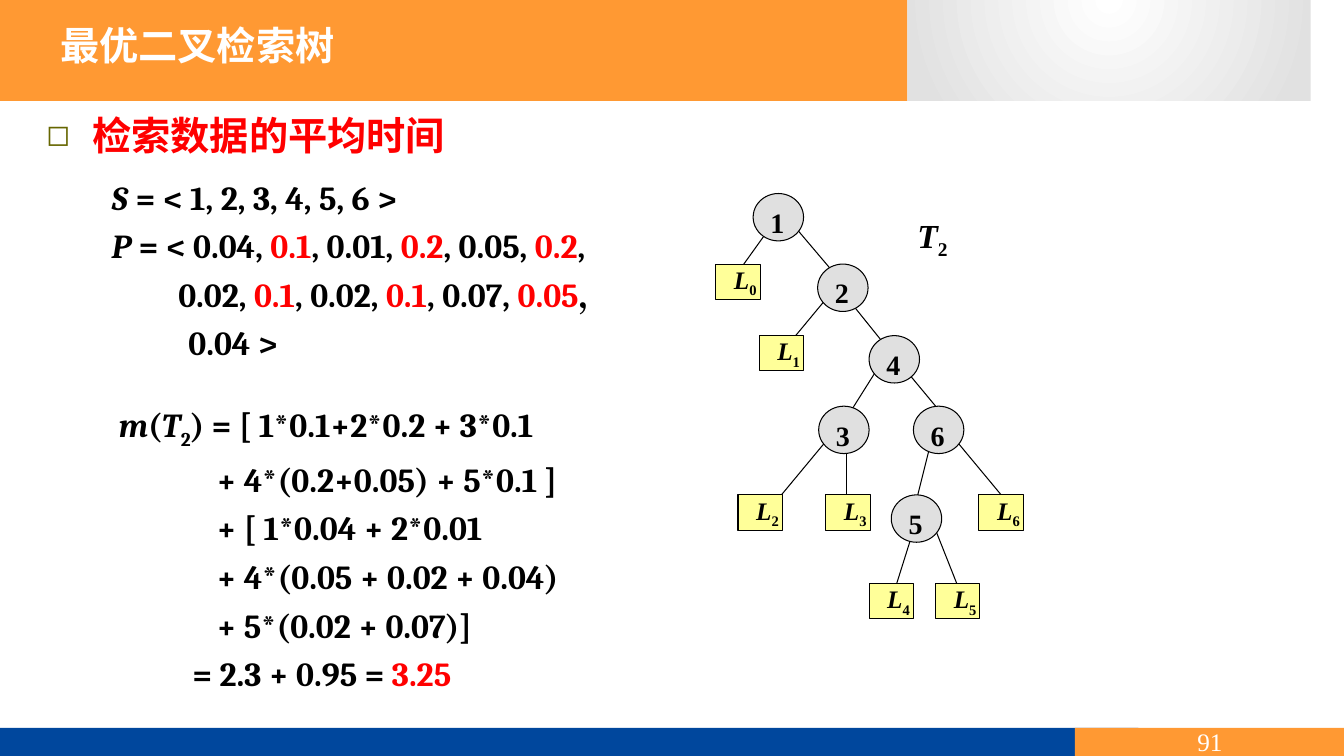
import pptx
import pptx.util
import pptx.oxml
import pptx.oxml.ns
import pptx.dml.color
import pptx.enum.shapes
import pptx.enum.text
from dataclasses import dataclass

Inches, Pt = pptx.util.Inches, pptx.util.Pt
Shape = pptx.enum.shapes.MSO_SHAPE
Align = pptx.enum.text.PP_ALIGN
Anchor = pptx.enum.text.MSO_ANCHOR


@dataclass(frozen=True)
class Theme:
    orange: str = "FF9933"
    blue: str = "00479D"
    white: str = "FFFFFF"
    silver: str = "E1E1E1"
    black: str = "000000"
    red: str = "FF0000"
    olive: str = "666600"
    node: str = "E0E0E0"
    leaf: str = "FFFF99"
    head: int = 28
    body: int = 24
    key: int = 20
    small: int = 18
    hair: float = 0.75
    han: str = "Noto Sans CJK SC"
    math: str = "Cambria"
    serif: str = "Times New Roman"
    sign: str = "DejaVu Sans"


def rgb(code):
    return pptx.dml.color.RGBColor.from_string(code)


def assign(target, values):
    for name, value in values.items():
        setattr(target, name, value)


def make(tag, **values):
    node = pptx.oxml.ns.qn(tag)
    item = pptx.oxml.parse_xml(f'<{tag} {pptx.oxml.ns.nsdecls("a")}/>')
    assert item.tag == node
    for name, value in values.items():
        item.set(name, str(value))
    return item


def curve(start, one, two, end, steps=24):
    """Points along a cubic Bezier curve, without its start."""
    points = []
    for step in range(1, steps + 1):
        t = step / steps
        parts = ((1 - t) ** 3, 3 * t * (1 - t) ** 2, 3 * t * t * (1 - t), t ** 3)
        points.append(tuple(sum(w * p[axis] for w, p in zip(parts, (start, one, two, end)))
                            for axis in (0, 1)))
    return points


class Board:
    """Holds the theme and the current slide."""

    def __init__(self, slide, theme):
        self.slide, self.theme = slide, theme

    def paint(self, shape, fill, edge=None):
        shape.shadow.inherit = False
        shape.fill.solid()
        shape.fill.fore_color.rgb = rgb(fill)
        if edge:
            shape.line.color.rgb = rgb(edge)
            shape.line.width = Pt(self.theme.hair)
        else:
            shape.line.fill.background()

    def block(self, kind, box, fill, edge=None):
        shape = self.slide.shapes.add_shape(kind, *map(Inches, box))
        self.paint(shape, fill, edge)
        return shape

    def outline(self, points, fill):
        form = self.slide.shapes.build_freeform(*points[0], scale=Inches(1))
        form.add_line_segments(points[1:], close=True)
        shape = form.convert_to_shape()
        self.paint(shape, fill)
        return shape

    def glow(self, shape, inner, outer):
        """Radial fill centred above the shape."""
        shape.fill.gradient()
        for stop, color in zip(shape.fill.gradient_stops, (inner, outer)):
            stop.color.rgb = rgb(color)
        grad = shape._element.spPr.find(pptx.oxml.ns.qn("a:gradFill"))
        ring = make("a:path", path="circle")
        ring.append(make("a:fillToRect", l=50000, t=-80000, r=50000, b=180000))
        grad.replace(grad.find(pptx.oxml.ns.qn("a:lin")), ring)

    def edge(self, start, end):
        line = self.slide.shapes.add_connector(
            pptx.enum.shapes.MSO_CONNECTOR.STRAIGHT, *map(Inches, start + end))
        line.line.color.rgb = rgb(self.theme.black)
        line.line.width = Pt(self.theme.hair)
        line._element.spPr.append(make("a:effectLst"))

    def words(self, para, runs, size, font, color=None, bold=True):
        """Runs are (text, marks): i italic, s subscript, r red."""
        for text, marks in runs:
            run = para.add_run()
            run.text = text
            assign(run.font, dict(size=Pt(size), name=font, bold=bold, italic="i" in marks))
            run.font.color.rgb = rgb(self.theme.red if "r" in marks
                                     else color or self.theme.black)
            props = run._r.get_or_add_rPr()
            props.append(make("a:ea", typeface=font))
            if "s" in marks:
                props.set("baseline", "-25000")

    def text(self, box, lines, size, font, color=None, frame=None, para=None, gap=0):
        """Lines are (indent, runs); returns the paragraphs."""
        area = self.slide.shapes.add_textbox(*map(Inches, box)).text_frame
        assign(area, {"word_wrap": True, **(frame or {})})
        for row, (indent, runs) in enumerate(lines):
            item = area.add_paragraph() if row else area.paragraphs[0]
            if indent:
                item._p.get_or_add_pPr().set("marL", str(Inches(indent)))
            assign(item, {**(para or {}), "space_before": Pt(gap if row else 0)})
            self.words(item, runs, size, font, color)
        return area.paragraphs

    def bullet(self, para, sign, indent):
        props = para._p.get_or_add_pPr()
        props.set("indent", str(-Inches(indent)))
        tint = make("a:buClr")
        tint.append(make("a:srgbClr", val=self.theme.olive))
        props.extend([tint, make("a:buSzPct", val=75000),
                      make("a:buFont", typeface=self.theme.sign), make("a:buChar", char=sign)])

    def node(self, x, y, label):
        shape = self.block(Shape.OVAL, (x, y, 0.5, 0.47), self.theme.node, self.theme.black)
        self.label(shape, [(label, "")], self.theme.key)

    def leaf(self, x, y, label):
        shape = self.block(Shape.RECTANGLE, (x, y, 0.44, 0.35), self.theme.leaf, self.theme.black)
        assign(shape.text_frame, dict(margin_left=Inches(0.18), margin_top=0,
                                      margin_right=0, margin_bottom=0))
        self.label(shape, [("L", "i"), (label, "s")], self.theme.small)

    def label(self, shape, runs, size):
        shape.text_frame.vertical_anchor = Anchor.TOP
        para = shape.text_frame.paragraphs[0]
        para.alignment = Align.LEFT
        self.words(para, runs, size, self.theme.serif)


def chances(values):
    """Red marks the chances that start with *."""
    return [(value.lstrip("*"), "r" if value[0] == "*" else "") for value in values]


ROWS = (1.92, 2.62, 3.33, 4.03, 4.91, 5.79)
NODES = {"1": (7.47, 0), "2": (8.11, 1), "4": (8.62, 2),
         "3": (8.12, 3), "6": (9.06, 3), "5": (8.84, 4)}
LEAVES = {"0": (7.1, 1), "1": (7.53, 2), "2": (7.32, 4), "3": (8.19, 4),
          "6": (9.71, 4), "4": (8.62, 5), "5": (9.28, 5)}
EDGES = [((9.49, 4.38), (9.93, 4.91)), ((9.06, 5.26), (8.84, 5.96)),
         ((8.19, 4.38), (7.75, 4.91)), ((8.19, 2.97), (7.75, 3.5)),
         ((9.28, 5.26), (9.49, 5.79)), ((8.4, 4.38), (8.4, 4.91)),
         ((7.75, 2.1), (7.32, 2.7)), ((8.84, 3.5), (9.28, 4.03)),
         ((8.47, 3.04), (8.84, 3.5)), ((9.28, 4.2), (9.06, 5.08)),
         ((8.4, 2.86), (7.9, 2.27)), ((8.91, 3.33), (8.4, 4.14))]
GIVEN = [
    (0, [("S ", "i"), ("= < 1, 2, 3, 4, 5, 6 >", "")]),
    (0, [("P ", "i"), *chances(["= < 0.04, ", "*0.1", ", 0.01, ", "*0.2", ", 0.05, ", "*0.2", ","])]),
    (0.66, chances(["0.02, ", "*0.1", ", 0.02, ", "*0.1", ", 0.07, ", "*0.05", "，"])),
    (0.76, [("0.04 >", "")])]
MEAN = [
    (0.15, [("m", "i"), ("(", ""), ("T", "i"), ("2", "s"), (") = [ 1*0.1+2*0.2 + 3*0.1", "")]),
    *((1.12, [(term, "")]) for term in ("+ 4*(0.2+0.05) + 5*0.1 ]", "+ [ 1*0.04 + 2*0.01",
                                        "+ 4*(0.05 + 0.02 + 0.04)", "+ 5*(0.02 + 0.07)]")),
    (0.88, [("= 2.3 + 0.95 = ", ""), ("3.25", "r")])]


def main():
    deck = pptx.Presentation()
    assign(deck, dict(slide_width=Inches(13.33), slide_height=Inches(7.5)))
    theme = Theme()
    board = Board(deck.slides.add_slide(deck.slide_layouts[6]), theme)

    top, base = 0.09, 0.68
    board.outline([(0.14, top), (8, top), *curve((8, top), (8.89, 0.21), (9.03, 0.57), (9.25, base)),
                   (0.14, base)], theme.orange)
    wing = board.outline([(13.22, base), (9.59, base),
                          *curve((9.59, base), (9.18, 0.57), (8.96, 0.21), (8.75, top)),
                          (13.22, top)], theme.silver)
    board.glow(wing, theme.white, theme.silver)
    board.block(Shape.RECTANGLE, (0, 7.22, 11.29, 0.28), theme.blue)
    page = board.block(Shape.RECTANGLE, (10.66, 7.22, 2.68, 0.28), theme.orange)
    page.text_frame.vertical_anchor = Anchor.MIDDLE
    count = page.text_frame.paragraphs[0]
    count.alignment = Align.CENTER
    board.words(count, [("91", "")], theme.small, theme.serif, theme.white, bold=False)

    board.text((0.5, 0.16, 6.84, 0.57), [(0, [("最优二叉检索树", "")])],
               theme.head, theme.han, theme.white)
    topic = board.text((0.36, 1.05, 6.64, 0.69), [(0.46, [("检索数据的平均时间", "r")])],
                       theme.head, theme.han)
    board.bullet(topic[0], "◻", 0.46)
    middle = dict(vertical_anchor=Anchor.MIDDLE)
    board.text((1.01, 1.73, 5.71, 1.81), GIVEN, theme.body, theme.math,
               frame=middle, para=dict(line_spacing=1.2))
    board.text((0.93, 3.97, 4.94, 2.95), MEAN, theme.body, theme.math, frame=middle, gap=6)

    for start, end in EDGES:
        board.edge(start, end)
    for draw, spots in ((board.node, NODES), (board.leaf, LEAVES)):
        for label, (x, row) in spots.items():
            draw(x, ROWS[row], label)
    board.text((9, 2.08, 0.52, 0.51), [(0, [("T", "i"), ("2", "s")])],
               theme.body, theme.serif, frame=dict(word_wrap=False))
    deck.save("out.pptx")


if __name__ == "__main__":
    main()
